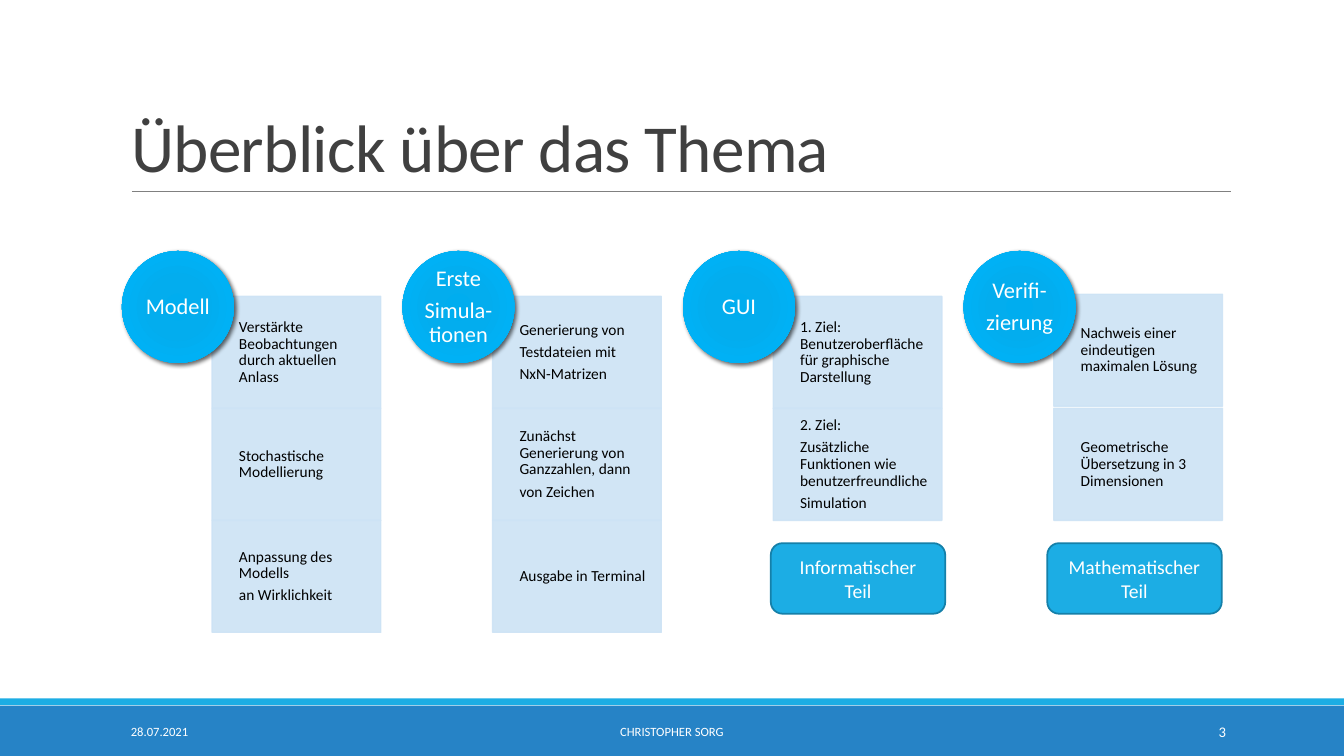
import pptx
import pptx.dml.color
import pptx.enum.shapes
import pptx.enum.text
import pptx.oxml
import pptx.oxml.ns
import pptx.util

Pt = pptx.util.Pt
SHAPE = pptx.enum.shapes.MSO_SHAPE
ALIGN = pptx.enum.text.PP_ALIGN
ANCHOR = pptx.enum.text.MSO_ANCHOR

COLORS = {
    "footer": "2683C6",
    "accent": "1CADE4",
    "accent_edge": "1580A9",
    "rule": "808080",
    "title": "404040",
    "card": "CDE3F5",
    "text": "000000",
    "white": "FFFFFF",
}
CIRCLE_STOPS = [(0, "00ADEF"), (34, "03ADEE"), (70, "00B1F5"), (100, "12B1EE")]

COLUMNS = [
    (["Modell"], [
        ["Verstärkte Beobachtungen durch aktuellen Anlass"],
        ["Stochastische Modellierung"],
        ["Anpassung des Modells", "an Wirklichkeit"],
    ]),
    (["Erste", "Simula-tionen"], [
        ["Generierung von", "Testdateien mit", "NxN-Matrizen"],
        ["Zunächst Generierung von Ganzzahlen, dann", "von Zeichen"],
        ["Ausgabe in Terminal"],
    ]),
    (["GUI"], [
        ["1. Ziel: Benutzeroberfläche für graphische Darstellung"],
        ["2. Ziel:", "Zusätzliche Funktionen wie benutzerfreundliche", "Simulation"],
    ]),
    (["Verifi-", "zierung"], [
        ["Nachweis einer eindeutigen maximalen Lösung"],
        ["Geometrische Übersetzung in 3 Dimensionen"],
    ]),
]
FIRST_CIRCLE_LEFT, CIRCLE_TOP = 87.1, 179.3
COLUMN_STEP = 200.4
CARD_OFFSET, CARD_TOP, CARD_WIDTH = 64.4, 211.7, 120.5
CELL = 80
LAST_COLUMN_RAISE = 1.5


def rgb(name):
    return pptx.dml.color.RGBColor.from_string(COLORS[name])


def xml(body):
    tag, rest = body.split(" ", 1) if " " in body.split(">")[0] else body.split(">", 1)
    joint = " " if " " in body.split(">")[0] else ">"
    return pptx.oxml.parse_xml(tag + " " + pptx.oxml.ns.nsdecls("a") + joint + rest)


def write(shape, lines, size, color, align=ALIGN.LEFT, anchor=ANCHOR.MIDDLE,
          insets=(7.2, 3.6, 7.2, 3.6), line_spacing=None, space_after=0):
    frame = shape.text_frame
    frame.word_wrap = True
    frame.auto_size = pptx.enum.text.MSO_AUTO_SIZE.NONE
    frame.vertical_anchor = anchor
    (frame.margin_left, frame.margin_top,
     frame.margin_right, frame.margin_bottom) = map(Pt, insets)
    for index, line in enumerate(lines):
        para = frame.add_paragraph() if index else frame.paragraphs[0]
        para.alignment = align
        para.line_spacing = line_spacing
        para.space_before = Pt(0)
        para.space_after = Pt(space_after)
        span = para.add_run()
        span.text = line
        span.font.size = Pt(size)
        span.font.name = "Calibri"
        span.font.color.rgb = rgb(color)
    return frame


def add_box(page, kind, bounds, fill=None, edge=None, edge_width=1):
    box = page.shapes.add_shape(kind, *map(Pt, bounds))
    box.shadow.inherit = False
    if fill:
        box.fill.solid()
        box.fill.fore_color.rgb = rgb(fill)
    if edge:
        box.line.color.rgb = rgb(edge)
        box.line.width = Pt(edge_width)
    else:
        box.line.fill.background()
    return box


def add_card(page, left, top, lines):
    card = add_box(page, SHAPE.RECTANGLE, (left, top, CARD_WIDTH, CELL), "card", "card")
    for color in card.element.spPr.iter(pptx.oxml.ns.qn("a:srgbClr")):
        color.append(xml('<a:alpha val="90000"/>'))
    write(card, lines, 11, "text", insets=(19.2, 6.5, 6.5, 6.5),
          line_spacing=0.9, space_after=3.85)


def add_circle(page, left, lines):
    circle = add_box(page, SHAPE.OVAL, (left, CIRCLE_TOP, CELL, CELL))
    stops = "".join(
        f'<a:gs pos="{place * 1000}"><a:srgbClr val="{color}"/></a:gs>'
        for place, color in CIRCLE_STOPS)
    gradient = xml(
        f'<a:gradFill rotWithShape="1"><a:gsLst>{stops}</a:gsLst><a:path path="circle">'
        '<a:fillToRect l="100000" t="100000" r="100000" b="100000"/></a:path></a:gradFill>')
    properties = circle.element.spPr
    properties.find(pptx.oxml.ns.qn("a:prstGeom")).addnext(gradient)
    properties.find(pptx.oxml.ns.qn("a:effectLst")).append(xml(
        f'<a:outerShdw blurRad="{Pt(3)}" dist="{Pt(2)}" dir="2700000" algn="ctr" '
        'rotWithShape="0"><a:srgbClr val="000000"><a:alpha val="60000"/></a:srgbClr>'
        '</a:outerShdw>'))
    write(circle, lines, 16, "white", align=ALIGN.CENTER, insets=(0, 0, 0, 0),
          line_spacing=0.9, space_after=5.6)


def add_column(page, index, heading, cards):
    left = FIRST_CIRCLE_LEFT + index * COLUMN_STEP
    for row, lines in enumerate(cards):
        top = CARD_TOP + row * CELL
        if index == len(COLUMNS) - 1 and row == 0:
            top -= LAST_COLUMN_RAISE
        add_card(page, left + CARD_OFFSET, top, lines)
    add_circle(page, left, heading)


def add_part_label(page, left, text):
    label = add_box(page, SHAPE.ROUNDED_RECTANGLE, (left, 388, 124.6, 50.4),
                    "accent", "accent_edge", 1.25)
    write(label, [text], 14, "white", align=ALIGN.CENTER)


def add_footer_text(page, left, width, text, size, align):
    box = page.shapes.add_textbox(Pt(left), Pt(508.3), Pt(width), Pt(28.8))
    write(box, [text], size, "white", align=align)


def add_rule(page):
    rule = page.shapes.add_connector(pptx.enum.shapes.MSO_CONNECTOR.STRAIGHT,
                                     Pt(94.3), Pt(136.8), Pt(879.1), Pt(136.8))
    rule.line.color.rgb = rgb("rule")
    rule.line.width = Pt(0.5)
    rule.element.spPr.append(xml("<a:effectLst />"))


def format_title(page, text):
    title = page.shapes.title
    title.left, title.top, title.width, title.height = map(Pt, (86.4, 22.3, 792, 114.5))
    frame = write(title, [text], 48, "title", anchor=ANCHOR.BOTTOM, line_spacing=0.85)
    frame.paragraphs[0].runs[0].font._element.set("spc", "-50")


def main():
    deck = pptx.Presentation()
    deck.slide_width, deck.slide_height = Pt(960), Pt(540)
    page = deck.slides.add_slide(deck.slide_layouts[5])
    add_box(page, SHAPE.RECTANGLE, (0, 504, 960, 36), "footer")
    add_box(page, SHAPE.RECTANGLE, (0, 498.8, 960, 5), "accent")
    add_rule(page)
    format_title(page, "Überblick über das Thema")
    add_footer_text(page, 86.4, 194.4, "28.07.2021", 9, ALIGN.LEFT)
    add_footer_text(page, 290.2, 379.4, "CHRISTOPHER SORG", 9, ALIGN.CENTER)
    add_footer_text(page, 779.8, 103, "3", 10.5, ALIGN.RIGHT)
    for index, (heading, cards) in enumerate(COLUMNS):
        add_column(page, index, heading, cards)
    add_part_label(page, 550.6, "Informatischer Teil")
    add_part_label(page, 748.1, "Mathematischer Teil")
    deck.save("out.pptx")


if __name__ == "__main__":
    main()
